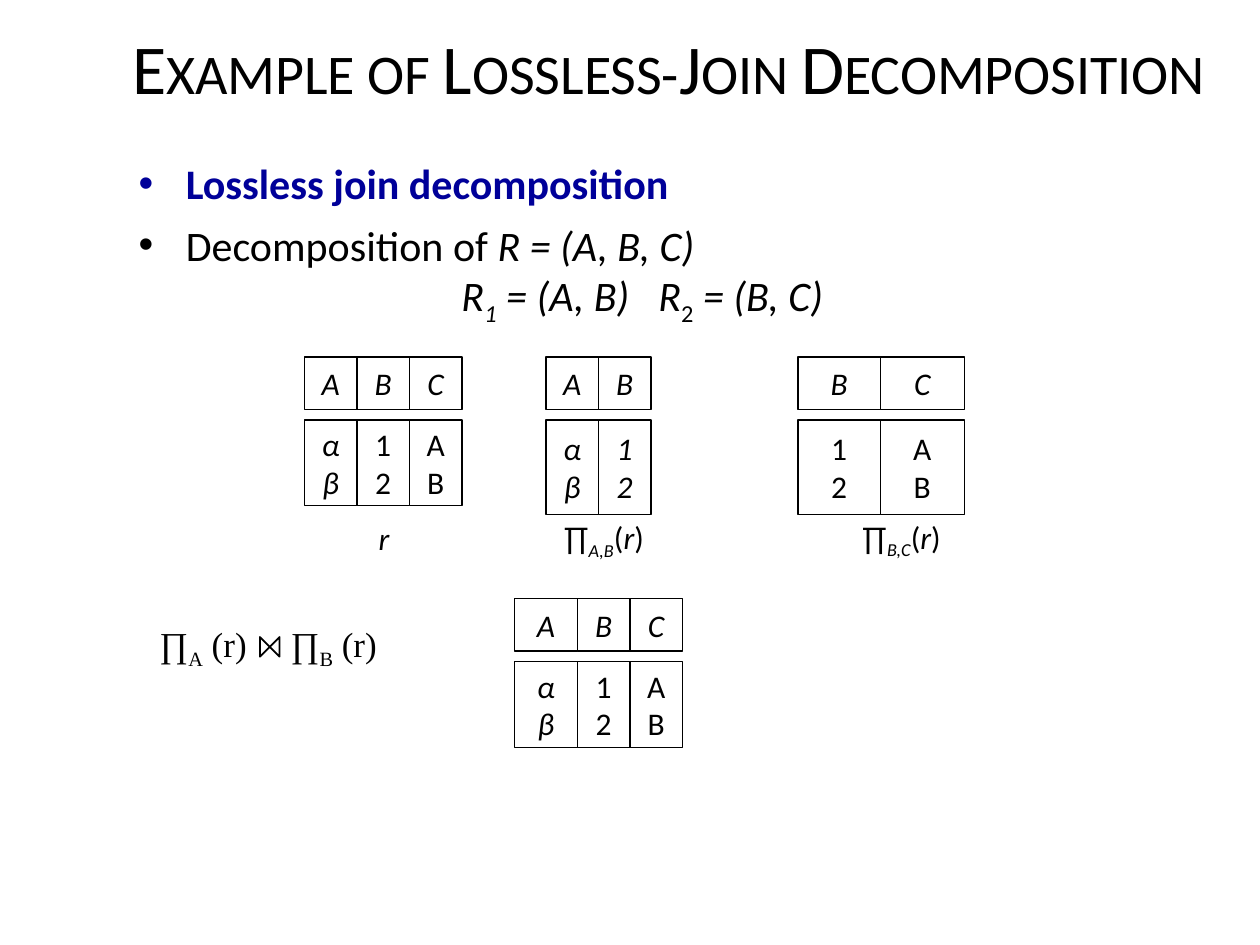
import pptx
import pptx.dml.color
import pptx.enum.shapes
import pptx.enum.text
import pptx.util
from lxml import etree
from pptx.oxml.ns import qn

Pt = pptx.util.Pt
CENTER = pptx.enum.text.PP_ALIGN.CENTER
MIDDLE = pptx.enum.text.MSO_ANCHOR.MIDDLE
TOP = pptx.enum.text.MSO_ANCHOR.TOP

PLAIN = {}
ITALIC = {"italic": True}
SUBSCRIPT = {"baseline": "-25000"}
ITALIC_SUBSCRIPT = {"italic": True, "baseline": "-25000"}


def color(value):
    return pptx.dml.color.RGBColor.from_string(value)


class SlideBuilder:
    font_name = "Calibri"
    ink = "000000"
    paper = "FFFFFF"
    text_size = 18

    def __init__(self, slide):
        self.slide = slide

    def place(self, shape, left, top, width, height):
        box = {"left": left, "top": top, "width": width, "height": height}
        for name, value in box.items():
            setattr(shape, name, Pt(value))

    def frame(self, shape, anchor, wrap=True):
        settings = {
            "vertical_anchor": anchor,
            "word_wrap": wrap,
            "auto_size": pptx.enum.text.MSO_AUTO_SIZE.NONE,
        }
        for name, value in settings.items():
            setattr(shape.text_frame, name, value)
        return shape.text_frame

    def add_runs(self, paragraph, runs, size=None, name=None, ink=None):
        for text, style in runs:
            if text == "\n":
                paragraph.add_line_break()
                continue
            run = paragraph.add_run()
            run.text = text
            font = {
                "size": Pt(size or self.text_size),
                "name": name or self.font_name,
                "bold": False,
                "italic": False,
            }
            for key, value in {**font, **style}.items():
                if key in ("baseline", "cap"):
                    run._r.get_or_add_rPr().set(key, value)
                else:
                    setattr(run.font, key, value)
            run.font.color.rgb = color(ink or self.ink)

    def tab_stops(self, paragraph, positions):
        properties = paragraph._p.get_or_add_pPr()
        tab_list = etree.SubElement(properties, qn("a:tabLst"))
        for position in positions:
            etree.SubElement(tab_list, qn("a:tab"), pos=str(Pt(position)), algn="l")

    def title(self, text, box):
        shape = self.slide.shapes.title
        self.place(shape, *box)
        paragraph = self.frame(shape, MIDDLE).paragraphs[0]
        paragraph.alignment = CENTER
        self.add_runs(paragraph, [(text, {"cap": "small"})], size=40)

    def bullets(self, items, box, tabs):
        shape = self.slide.placeholders[1]
        self.place(shape, *box)
        text_frame = self.frame(shape, TOP)
        for index, (runs, ink) in enumerate(items):
            paragraph = text_frame.add_paragraph() if index else text_frame.paragraphs[0]
            self.tab_stops(paragraph, tabs)
            self.add_runs(paragraph, runs, size=24, ink=ink)

    def label(self, runs, box, space_before=9, alignment=CENTER, anchor=MIDDLE,
              tabs=(), **font):
        shape = self.slide.shapes.add_textbox(*map(Pt, box))
        paragraph = self.frame(shape, anchor).paragraphs[0]
        paragraph.alignment = alignment
        paragraph.space_before = Pt(space_before)
        if tabs:
            self.tab_stops(paragraph, tabs)
        self.add_runs(paragraph, runs, **font)

    def cell(self, lines, style, box):
        shape = self.slide.shapes.add_shape(
            pptx.enum.shapes.MSO_SHAPE.RECTANGLE, *map(Pt, box))
        shape.shadow.inherit = False
        shape.fill.solid()
        shape.fill.fore_color.rgb = color(self.paper)
        shape.line.color.rgb = color(self.ink)
        shape.line.width = Pt(0.75)
        text_frame = self.frame(shape, MIDDLE, wrap=False)
        for index, line in enumerate(lines):
            paragraph = text_frame.add_paragraph() if index else text_frame.paragraphs[0]
            paragraph.alignment = CENTER
            self.add_runs(paragraph, [(line, style)])

    def relation(self, columns, left, top, body_height):
        header_height, gap = 30, 6
        body_top = top + header_height + gap
        for name, values, style, width in columns:
            self.cell(name, ITALIC, (left, top, width, header_height))
            self.cell(values, style, (left, body_top, width, body_height))
            left += width

    def join_symbol(self, left, top, size):
        right, bottom = left + size, top + size
        builder = self.slide.shapes.build_freeform(Pt(left), Pt(top))
        corners = [(left, bottom), (right, top), (right, bottom)]
        builder.add_line_segments([(Pt(x), Pt(y)) for x, y in corners], close=True)
        shape = builder.convert_to_shape()
        shape.shadow.inherit = False
        shape.fill.background()
        shape.line.color.rgb = color(self.ink)
        shape.line.width = Pt(1)


def projection(attributes):
    return [("∏", PLAIN), (attributes, ITALIC_SUBSCRIPT),
            ("(", PLAIN), ("r", ITALIC), (")", PLAIN)]


def main():
    presentation = pptx.Presentation()
    presentation.slide_width = Pt(720)
    presentation.slide_height = Pt(540)
    slide = presentation.slides.add_slide(presentation.slide_layouts[1])
    builder = SlideBuilder(slide)

    builder.title("Example of Lossless-Join Decomposition", (46, 20, 672, 36))
    builder.bullets([
        ([("Lossless join decomposition", {"bold": True})], "000099"),
        ([("Decomposition of ", PLAIN), ("R = (A, B, C)", ITALIC), ("\n", PLAIN),
          ("\tR", ITALIC), ("1", ITALIC_SUBSCRIPT), (" = (A, B)\tR", ITALIC),
          ("2", SUBSCRIPT), (" = (B, C)", ITALIC)], None),
    ], (72, 86.5, 551, 95), tabs=(184.5, 297))

    greek, numbers, letters = "αβ", "12", "AB"
    builder.relation([("A", greek, ITALIC, 30), ("B", numbers, PLAIN, 30),
                      ("C", letters, PLAIN, 30)], 174, 204, 49)
    builder.relation([("A", greek, ITALIC, 30), ("B", numbers, ITALIC, 30)],
                     312, 204, 54)
    builder.relation([("B", numbers, PLAIN, 47), ("C", letters, PLAIN, 48)],
                     456, 204, 54)
    builder.relation([("A", greek, ITALIC, 36), ("B", numbers, PLAIN, 30),
                      ("C", letters, PLAIN, 30)], 294, 342, 49)

    builder.label([("r", ITALIC)], (209, 293, 21, 29))
    builder.label(projection("A,B"), (294, 294, 102, 29))
    builder.label(projection("B,C"), (474, 293.5, 82, 29))
    builder.label([("∏", PLAIN), ("A", SUBSCRIPT), (" (r)\t∏", PLAIN),
                   ("B", SUBSCRIPT), (" (r)", PLAIN)],
                  (84, 352, 198, 68), space_before=7, alignment=None, anchor=TOP,
                  tabs=(75,), size=20, name="Times New Roman")
    builder.join_symbol(148.5, 364, 11.25)

    presentation.save("out.pptx")


if __name__ == "__main__":
    main()
